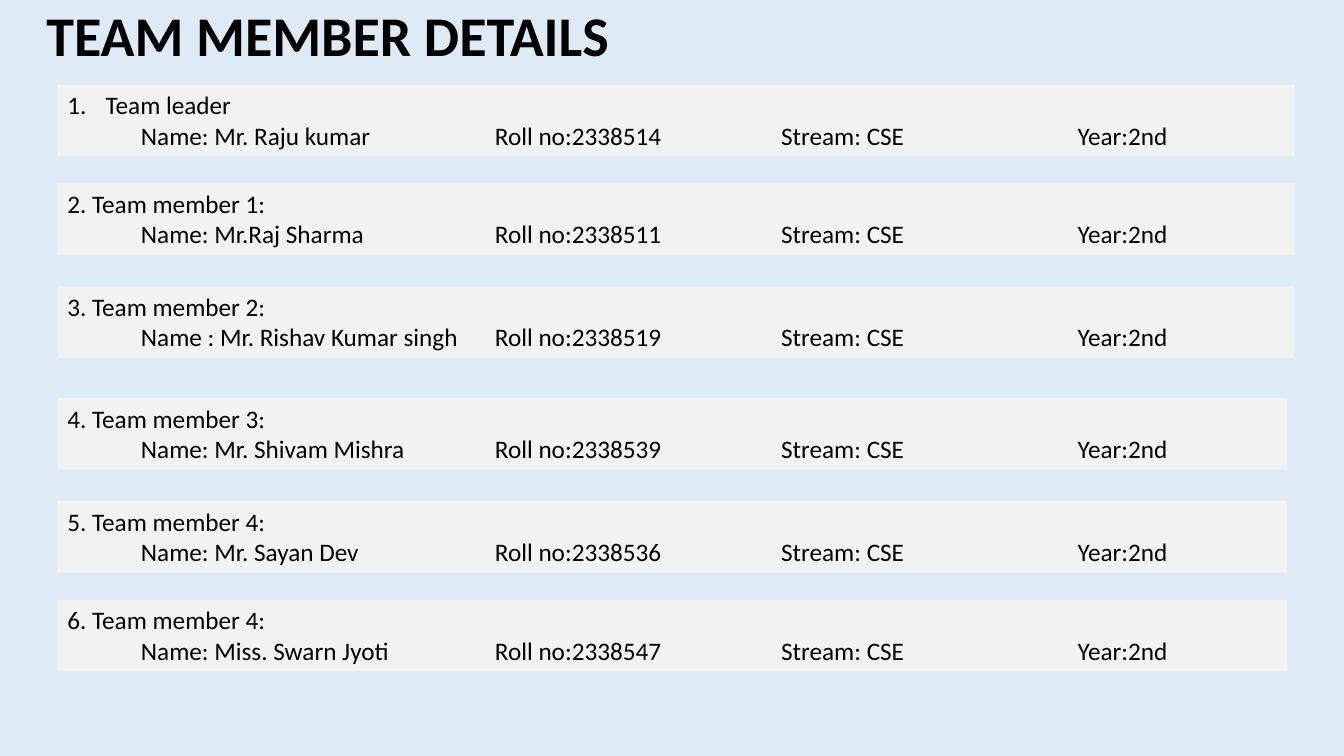
import pptx
import pptx.dml.color
import pptx.enum.shapes
import pptx.enum.text
import pptx.oxml.ns
import pptx.util
from lxml import etree

WIDTH, HEIGHT = 13.33, 7.5
LEFT, CARD_HEIGHT = 0.57, 0.71
WIDE, NARROW = 12.27, 12.2
TAB_STOPS = (0.73, 4.24, 7.08, 10.02)
NUMBER_INDENT = 0.38
MEMBERS = (
    (0.84, WIDE, "Team leader", "Name: Mr. Raju kumar", "2338514"),
    (1.82, WIDE, "2. Team member 1:", "Name: Mr.Raj Sharma", "2338511"),
    (2.84, WIDE, "3. Team member 2:", "Name : Mr. Rishav Kumar singh", "2338519"),
    (3.95, NARROW, "4. Team member 3:", "Name: Mr. Shivam Mishra", "2338539"),
    (4.97, NARROW, "5. Team member 4:", "Name: Mr. Sayan Dev", "2338536"),
    (5.95, NARROW, "6. Team member 4:", "Name: Miss. Swarn Jyoti", "2338547"),
)


def paint(fill, color):
    """Make a fill solid in a hex colour."""
    fill.solid()
    fill.fore_color.rgb = pptx.dml.color.RGBColor.from_string(color)


def write(paragraph, text, size, bold=False):
    """Write left-aligned black text into a paragraph."""
    paragraph.text = text
    paragraph.alignment = pptx.enum.text.PP_ALIGN.LEFT
    paragraph.font.name = "Calibri"
    paragraph.font.size = pptx.util.Pt(size)
    paragraph.font.bold = bold
    paint(paragraph.font.fill, "000000")


def add_tab_stops(paragraph, positions):
    """Give a paragraph left tab stops at positions in inches."""
    tab_list = etree.Element(pptx.oxml.ns.qn("a:tabLst"))
    for position in positions:
        etree.SubElement(tab_list, pptx.oxml.ns.qn("a:tab"),
                         pos=str(pptx.util.Inches(position)), algn="l")
    paragraph._p.get_or_add_pPr().insert(0, tab_list)


def number(paragraph, indent):
    """Number a paragraph automatically with a hanging indent in inches."""
    properties = paragraph._p.get_or_add_pPr()
    properties.set("marL", str(pptx.util.Inches(indent)))
    properties.set("indent", str(pptx.util.Inches(-indent)))
    numbering = etree.Element(pptx.oxml.ns.qn("a:buAutoNum"), type="arabicPeriod")
    properties.insert(0, numbering)


def set_title(slide, text):
    """Place and format the slide title."""
    title = slide.shapes.title
    title.left, title.top = pptx.util.Inches(0.36), pptx.util.Inches(-0.05)
    title.width, title.height = pptx.util.Inches(WIDE), pptx.util.Inches(0.77)
    title.text_frame.vertical_anchor = pptx.enum.text.MSO_ANCHOR.MIDDLE
    write(title.text_frame.paragraphs[0], text, 40, bold=True)


def add_member(slide, top, width, role, name, roll):
    """Add a card with a member's role and details, and return its role line."""
    card = slide.shapes.add_shape(
        pptx.enum.shapes.MSO_SHAPE.RECTANGLE,
        *map(pptx.util.Inches, (LEFT, top, width, CARD_HEIGHT)))
    card.shadow.inherit = False
    paint(card.fill, "F2F2F2")
    card.line.fill.background()
    frame = card.text_frame
    frame.word_wrap = True
    frame.vertical_anchor = pptx.enum.text.MSO_ANCHOR.TOP
    heading, details = frame.paragraphs[0], frame.add_paragraph()
    write(heading, role, 18)
    write(details, f"\t{name}\tRoll no:{roll}\tStream: CSE\tYear:2nd", 18)
    add_tab_stops(details, TAB_STOPS)
    return heading


def main():
    """Build the team slide and save it."""
    presentation = pptx.Presentation()
    presentation.slide_width = pptx.util.Inches(WIDTH)
    presentation.slide_height = pptx.util.Inches(HEIGHT)
    slide = presentation.slides.add_slide(presentation.slide_layouts[5])
    paint(slide.background.fill, "DEEBF7")
    set_title(slide, "TEAM MEMBER DETAILS")
    headings = [add_member(slide, *member) for member in MEMBERS]
    number(headings[0], NUMBER_INDENT)
    presentation.save("out.pptx")


if __name__ == "__main__":
    main()
